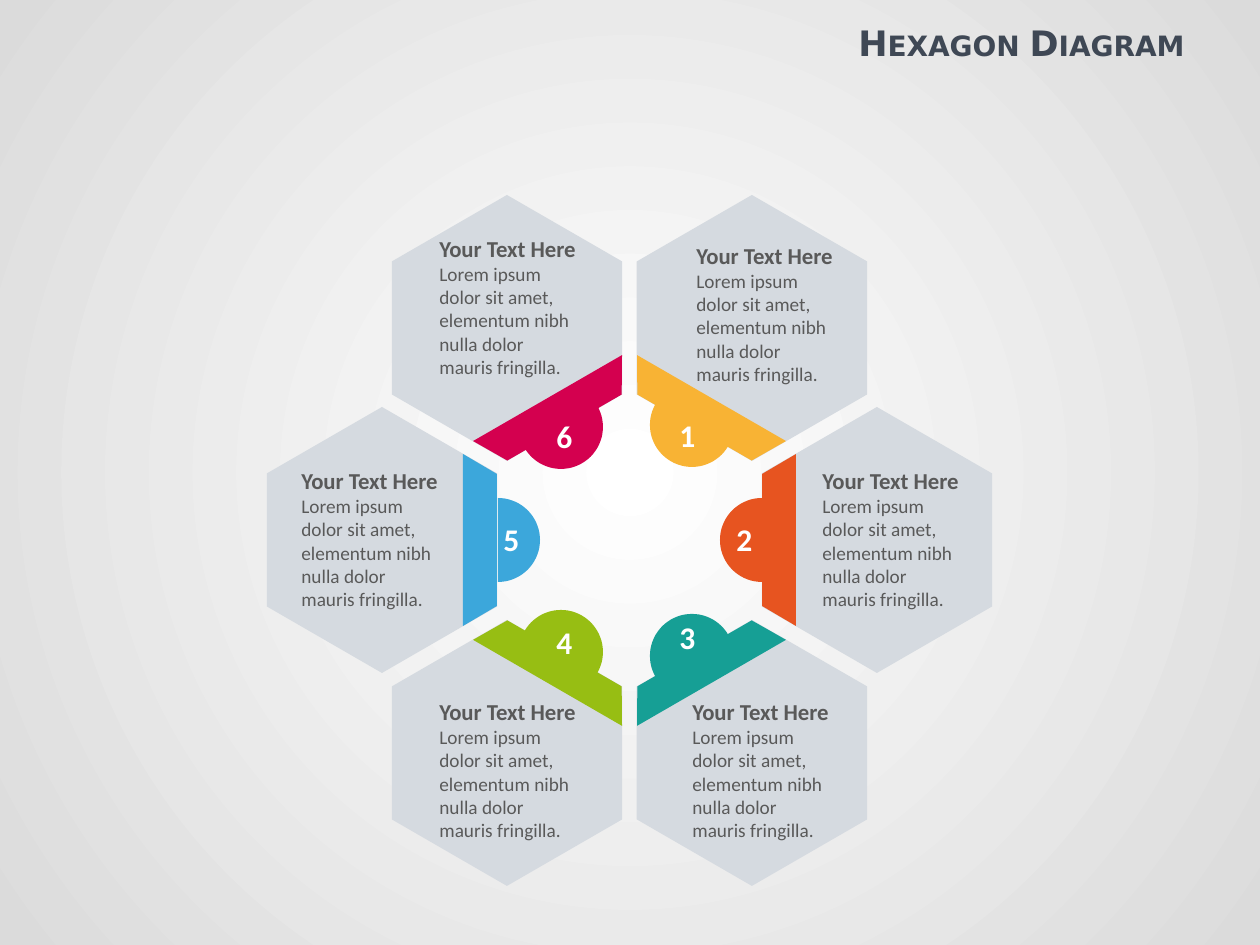
from math import cos, pi, radians, sin

from lxml import etree
from pptx import Presentation
from pptx import util as u
from pptx.dml.color import RGBColor
from pptx.enum import shapes, text
from pptx.oxml.ns import qn

PX = 914400 / 126  # EMU per px


def px(n):
    return u.Emu(round(n * PX))


def rgb(code):
    return RGBColor.from_string(code)


def turn(points, angle, center):
    """Rotate points by angle in degrees and move them to center."""
    c, s = cos(radians(angle)), sin(radians(angle))
    return [(center[0] + x * c - y * s, center[1] + x * s + y * c)
            for x, y in points]


def write(p, words, size=11, color="595959", bold=False, font="Calibri",
          align=text.PP_ALIGN.LEFT, small_caps=False):
    p.alignment = align
    r = p.add_run()
    r.text = words
    r.font.name, r.font.size, r.font.bold = font, u.Pt(size), bold
    r.font.color.rgb = rgb(color)
    if small_caps:
        r.font._element.set("cap", "small")


class Deck:
    panel = "D5DAE0"
    title_color = "3F4855"

    def __init__(self, width, height):
        self.prs = Presentation()
        self.prs.slide_width, self.prs.slide_height = px(width), px(height)
        self.s = self.prs.slides.add_slide(self.prs.slide_layouts[6])

    def backdrop(self, inner, outer):
        sp = self.s.shapes.add_shape(shapes.MSO_SHAPE.RECTANGLE, 0, 0,
                                     self.prs.slide_width, self.prs.slide_height)
        sp.shadow.inherit = False
        sp.line.fill.background()
        sp.fill.gradient()
        for stop, code in zip(sp.fill.gradient_stops, (inner, outer)):
            stop.color.rgb = rgb(code)
        # Make the gradient radial, from the middle outwards
        grad = sp._element.spPr.find(qn("a:gradFill"))
        grad.remove(grad.find(qn("a:lin")))
        radial = etree.SubElement(grad, qn("a:path"), {"path": "circle"})
        etree.SubElement(radial, qn("a:fillToRect"),
                         {side: "50000" for side in "ltrb"})

    def polygon(self, points, color):
        pts = [(px(x), px(y)) for x, y in points]
        fb = self.s.shapes.build_freeform(*pts[0])
        fb.add_line_segments(pts[1:], close=True)
        sp = fb.convert_to_shape()
        sp.shadow.inherit = False
        sp.fill.solid()
        sp.fill.fore_color.rgb = rgb(color)
        sp.line.fill.background()

    def textbox(self, x, y, w, h, wrap=True, grow=True):
        tf = self.s.shapes.add_textbox(px(x), px(y), px(w), px(h)).text_frame
        tf.word_wrap = wrap
        if grow:
            tf.auto_size = text.MSO_AUTO_SIZE.SHAPE_TO_FIT_TEXT
        return tf

    def title(self, words):
        tf = self.textbox(402, 0, 795, 86, grow=False)
        tf.vertical_anchor = text.MSO_ANCHOR.MIDDLE
        write(tf.paragraphs[0], words, size=20, color=self.title_color, bold=True,
              font="DejaVu Sans", align=text.PP_ALIGN.RIGHT, small_caps=True)

    def number(self, x, y, n):
        tf = self.textbox(x, y, 42, 50, wrap=False)
        write(tf.paragraphs[0], str(n), size=18, color="FFFFFF", bold=True)

    def caption(self, x, y, heading, body):
        tf = self.textbox(x, y, 164, 158)
        write(tf.paragraphs[0], heading, size=13, bold=True,
              align=text.PP_ALIGN.JUSTIFY)
        write(tf.add_paragraph(), body)


# Outlines for the right-hand hexagon; the others are turned in 60° steps
RADIUS, KNOB = 133, 42
HEXAGON = [(RADIUS * cos(radians(a)), RADIUS * sin(radians(a)))
           for a in range(30, 390, 60)]
EDGE = [(-115, -66), (-81, -86), (-81, 86), (-115, 66)]
HALF_DISC = [(-KNOB * sin(pi * i / 36), KNOB * cos(pi * i / 36))
             for i in range(37)]

HEADING = "Your Text Here"
BODY = "Lorem ipsum dolor sit amet, elementum nibh nulla dolor mauris fringilla."

# colour, hexagon centre, knob centre, number corner, caption corner
PARTS = [
    ("F8B334", (752, 328), (692, 425), (667, 410), (684, 236)),
    ("E75420", (877, 540), (762, 540), (724, 514), (810, 461)),
    ("169F95", (752, 753), (692, 656), (667, 612), (680, 692)),
    ("97BE13", (507, 753), (561, 652), (544, 617), (427, 692)),
    ("3CA7DB", (382, 540), (498, 540), (491, 514), (289, 461)),
    ("D4004F", (507, 328), (561, 427), (544, 411), (427, 229)),
]


def main():
    deck = Deck(1260, 945)
    deck.backdrop("FFFFFF", "DBDBDB")
    deck.title("Hexagon Diagram")

    # Ring of hexagons, clockwise from the upper right
    for n, (color, center, knob, number_at, caption_at) in enumerate(PARTS, 1):
        angle = 60 * (n - 2)
        deck.polygon(turn(HEXAGON, 0, center), deck.panel)
        deck.polygon(turn(EDGE, angle, center), color)
        deck.polygon(turn(HALF_DISC, angle, knob), color)
        deck.number(*number_at, n)
        deck.caption(*caption_at, HEADING, BODY)

    deck.prs.save("out.pptx")


if __name__ == "__main__":
    main()
